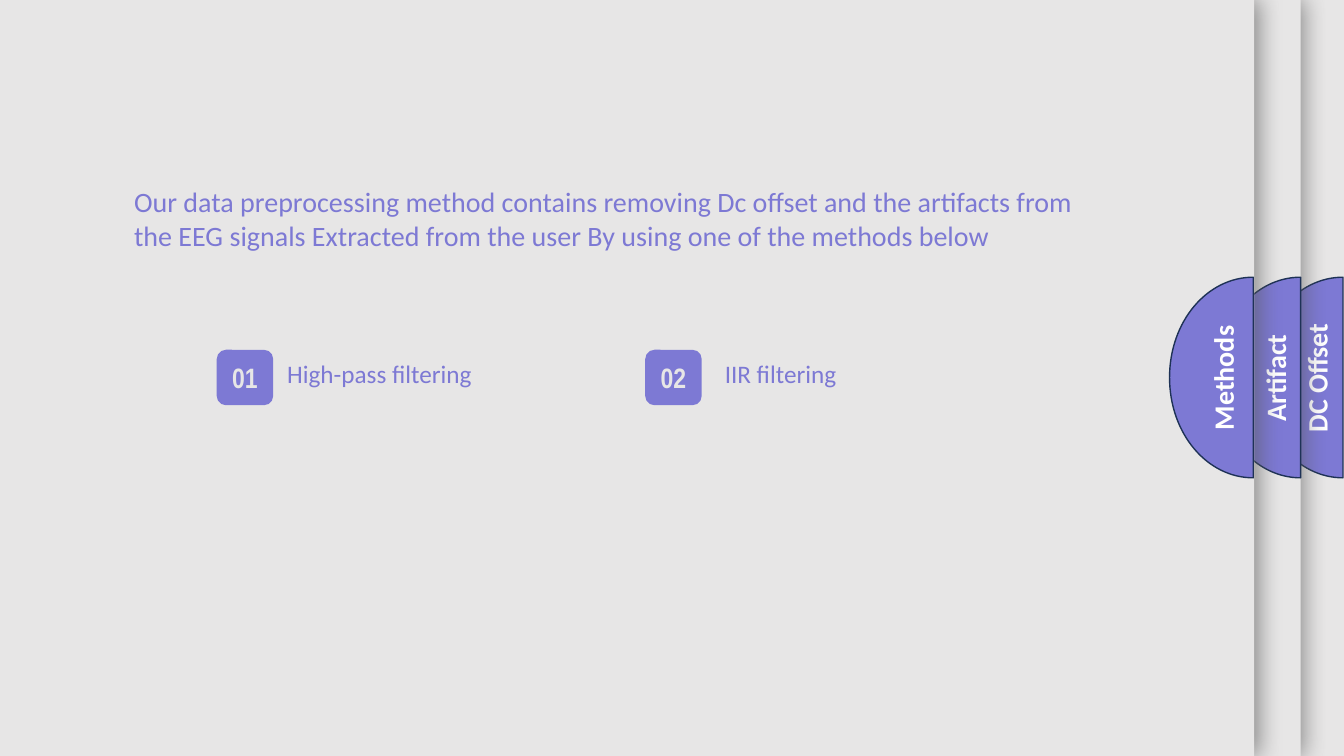
from dataclasses import dataclass

import lxml.etree
import pptx
import pptx.dml.color
import pptx.enum.shapes
import pptx.enum.text
import pptx.oxml.ns
import pptx.util

Inches = pptx.util.Inches
Pt = pptx.util.Pt
Shape = pptx.enum.shapes.MSO_SHAPE
Align = pptx.enum.text.PP_ALIGN
Anchor = pptx.enum.text.MSO_ANCHOR
qn = pptx.oxml.ns.qn


@dataclass(frozen=True)
class Theme:
    paper: str = "E7E6E6"
    violet: str = "7D79D4"
    navy: str = "1E3256"
    white: str = "FFFFFF"
    shade: str = "595959"
    font: str = "Calibri"
    narrow: str = "Arial Narrow"
    large: int = 20
    small: int = 18


THEME = Theme()
WIDE, HIGH = 13.33, 7.5


def color(code):
    return pptx.dml.color.RGBColor.from_string(code)


def node(parent, tag, **values):
    texts = {name: str(value) for name, value in values.items()}
    return lxml.etree.SubElement(parent, qn(tag), texts)


def paint(shape, fill, line=None):
    shape.shadow.inherit = False
    shape.fill.solid()
    shape.fill.fore_color.rgb = color(fill)
    if line:
        shape.line.color.rgb = color(line)
        shape.line.width = Pt(1)
    else:
        shape.line.fill.background()


def write(shape, text, size, code, font=THEME.font, bold=False,
          align=Align.LEFT, anchor=Anchor.TOP):
    frame = shape.text_frame
    frame.word_wrap = True
    frame.vertical_anchor = anchor
    frame.text = text
    line = frame.paragraphs[0]
    line.alignment = align
    for run in line.runs:
        run.font.name = font
        run.font.size = Pt(size)
        run.font.bold = bold
        run.font.color.rgb = color(code)


def shade(shape):
    effects = shape.element.spPr.find(qn("a:effectLst"))
    shadow = node(effects, "a:outerShdw", blurRad=Pt(17), dist=Pt(3),
                  dir=0, algn="l", rotWithShape=0)
    tint = node(shadow, "a:srgbClr", val=THEME.shade)
    node(tint, "a:alpha", val=65000)


def dome(shapes, right, top, width, height):
    wide, high = Inches(width), Inches(height)
    left = Inches(right) - wide
    pen = shapes.build_freeform(wide, 0)
    pen.add_line_segments([(wide, high), (0, high // 2)], close=True)
    shape = pen.convert_to_shape(left, Inches(top))
    side = next(shape.element.iter(qn("a:close"))).getprevious()
    outline = side.getparent()
    near, low, up = round(wide * 0.45), round(high * 0.78), round(high * 0.22)
    curves = (((near, high), (0, low), (0, high // 2)),
              ((0, up), (near, 0), (wide, 0)))
    for curve in curves:
        bend = node(outline, "a:cubicBezTo")
        for x, y in curve:
            node(bend, "a:pt", x=x, y=y)
        side.addprevious(bend)
    outline.remove(side)
    return shape


def add_panel(slide, left, edge, center, text):
    shapes = slide.shapes.add_group_shape().shapes
    sheet = shapes.add_shape(Shape.RECTANGLE, Inches(left), 0,
                             Inches(WIDE), Inches(HIGH))
    paint(sheet, THEME.paper)
    shade(sheet)
    tab = dome(shapes, edge, 2.75, 0.83, 1.99)
    paint(tab, THEME.violet, THEME.navy)
    width, height = 1.59, 0.44
    label = shapes.add_textbox(Inches(center - width / 2),
                               Inches(HIGH / 2 - height / 2),
                               Inches(width), Inches(height))
    label.rotation = 270
    write(label, text, THEME.large, THEME.white, bold=True, align=Align.CENTER)


def add_intro(slide, left, top, width, height, text):
    title = slide.shapes.title
    title.left, title.top = Inches(left), Inches(top)
    title.width, title.height = Inches(width), Inches(height)
    write(title, text, THEME.large, THEME.violet)
    slide.shapes.element.append(title.element)


def add_badge(slide, left, top, number):
    badge = slide.shapes.add_shape(Shape.ROUNDED_RECTANGLE, Inches(left),
                                   Inches(top), Inches(0.56), Inches(0.55))
    paint(badge, THEME.violet)
    frame = badge.text_frame
    frame.margin_left = frame.margin_right = Inches(0.1)
    frame.margin_top = frame.margin_bottom = Inches(0.1)
    write(badge, number, THEME.large, THEME.paper, THEME.narrow, True,
          Align.CENTER, Anchor.MIDDLE)


def add_label(slide, left, top, width, height, text):
    label = slide.shapes.add_textbox(Inches(left), Inches(top),
                                     Inches(width), Inches(height))
    write(label, text, THEME.small, THEME.violet)


def main():
    deck = pptx.Presentation()
    deck.slide_width, deck.slide_height = Inches(WIDE), Inches(HIGH)
    slide = deck.slides.add_slide(deck.slide_layouts.get_by_name("Title Only"))
    slide.background.fill.solid()
    slide.background.fill.fore_color.rgb = color(THEME.paper)
    for left, edge, center, text in (
            (0, 13.32, 13.06, "DC Offset"),
            (-0.43, 12.9, 12.65, "Artifact"),
            (-0.89, 12.43, 12.13, "Methods")):
        add_panel(slide, left, edge, center, text)
    for left, number in ((2.15, "01"), (6.4, "02")):
        add_badge(slide, left, 3.47, number)
    add_label(slide, 2.75, 3.51, 3.66, 0.4, "High-pass filtering")
    add_label(slide, 7.09, 3.51, 2.84, 0.71, "IIR filtering")
    add_intro(slide, 1.23, 1.78, 9.93, 1.11,
              "Our data preprocessing method contains removing Dc offset and "
              "the artifacts from the EEG signals Extracted from the user By "
              "using one of the methods below")
    deck.save("out.pptx")


if __name__ == "__main__":
    main()
